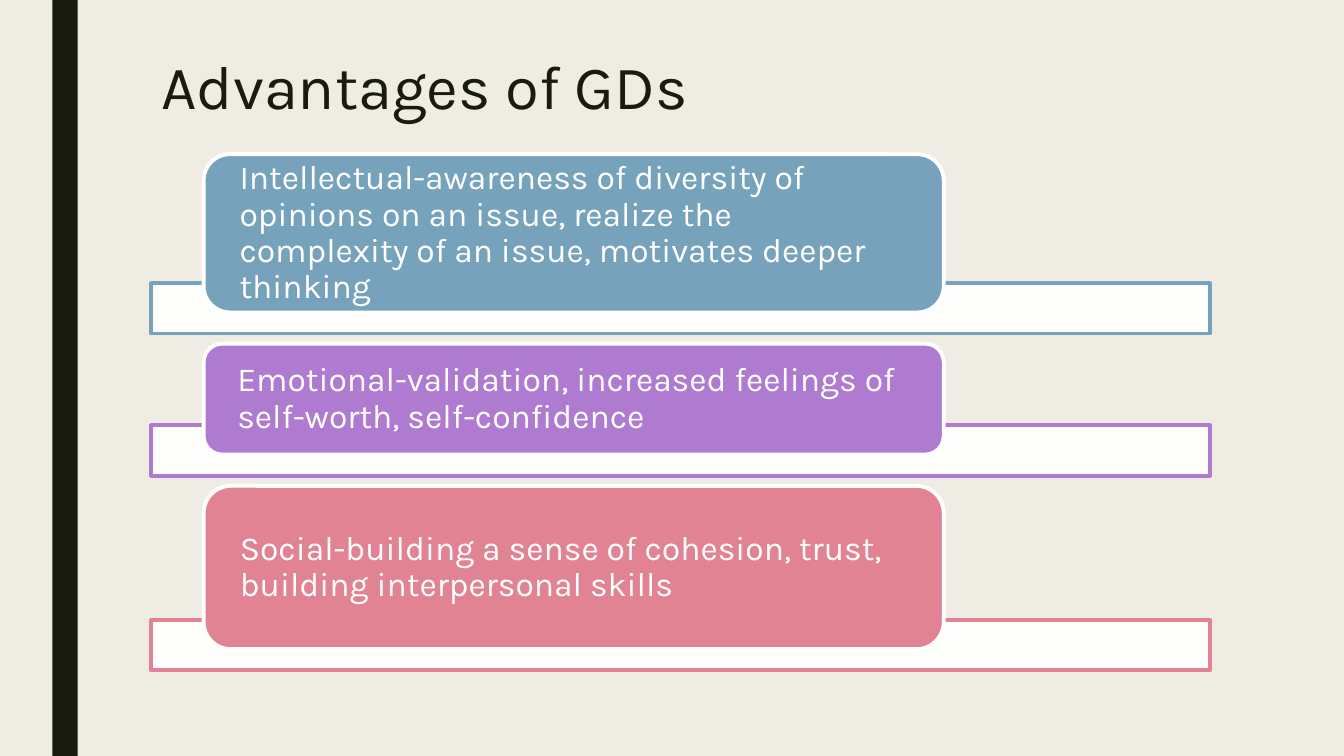
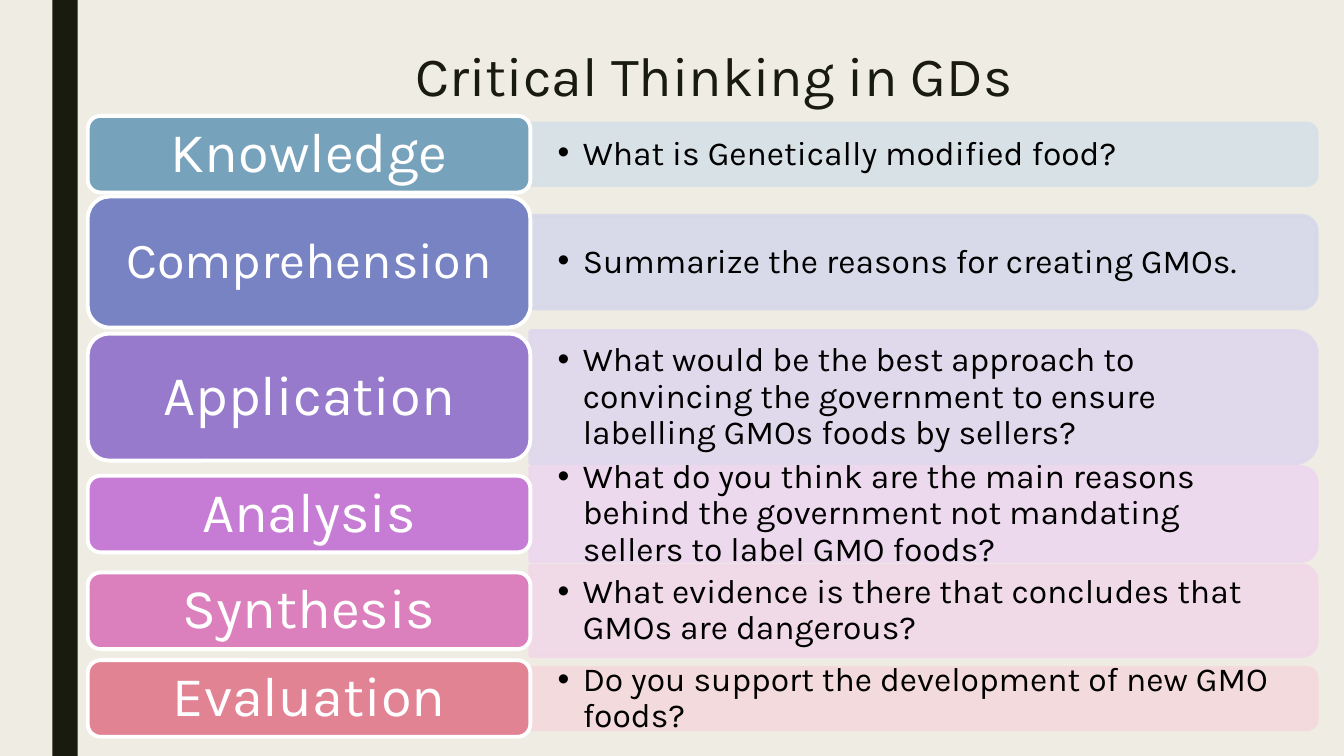
from dataclasses import dataclass

from lxml import etree
from pptx import Presentation
from pptx.dml.color import RGBColor
from pptx.enum import shapes, text
from pptx.oxml import ns
from pptx.util import Inches, Pt


# Shared theme
@dataclass(frozen=True)
class Theme:
    font: str = "Karla"
    paper: str = "EFEDE3"
    ink: str = "191B0E"
    white: str = "FFFFFF"
    black: str = "000000"
    body_size: float = 24
    outline: float = 2.75
    line_spacing: float = 0.9
    opacity: int = 90


THEME = Theme()


@dataclass(frozen=True)
class Box:
    left: float
    top: float
    width: float
    height: float

    def lengths(self) -> tuple:
        return tuple(Inches(v) for v in (self.left, self.top, self.width, self.height))


@dataclass(frozen=True)
class Advantage:
    wording: str
    color: str
    height: float


@dataclass(frozen=True)
class Level:
    name: str
    question: str
    color: str
    tint: str
    middle: float
    label_height: float
    panel_height: float
    size: float = 40


ADVANTAGES = [
    Advantage("Intellectual-awareness of diversity of opinions on an issue, realize the "
              "complexity of an issue, motivates deeper thinking", "77A2BB", 1.57),
    Advantage("Emotional-validation, increased feelings of self-worth, self-confidence",
              "AE7BD0", 1.1),
    Advantage("Social-building a sense of cohesion, trust, building interpersonal skills",
              "E28394", 1.62),
]

LEVELS = [
    Level("Knowledge", "What is Genetically modified food?",
          "77A2BB", "D6E0E7", 1.53, 0.76, 0.61),
    Level("Comprehension", "Summarize the reasons for creating GMOs.",
          "7883C4", "D6D8EA", 2.6, 1.3, 0.92, 36),
    Level("Application", "What would be the best approach to convincing the government "
          "to ensure labelling GMOs foods by sellers?",
          "977ACC", "DFD7ED", 3.94, 1.26, 1.31),
    Level("Analysis", "What do you think are the main reasons behind the government "
          "not mandating sellers to label GMO foods?",
          "C67CD4", "EDD7EF", 5.1, 0.76, 0.93),
    Level("Synthesis", "What evidence is there that concludes that GMOs are dangerous?",
          "DB7FBD", "F2D8E8", 6.06, 0.76, 0.9),
    Level("Evaluation", "Do you support the development of new GMO foods?",
          "E28394", "F4D9DC", 6.93, 0.76, 0.61),
]


# Shared drawing functions
def rgb(color: str) -> RGBColor:
    return RGBColor.from_string(color)


def make_translucent(shape) -> None:
    """Apply the theme opacity to every colour the shape has so far."""
    for color in shape._element.spPr.iter(ns.qn("a:srgbClr")):
        etree.SubElement(color, ns.qn("a:alpha"), val=str(THEME.opacity * 1000))


def add_block(slide, kind, box: Box, fill: str):
    block = slide.shapes.add_shape(kind, *box.lengths())
    block.shadow.inherit = False
    block.fill.solid()
    block.fill.fore_color.rgb = rgb(fill)
    block.line.fill.background()
    return block


def add_outline(block, color: str) -> None:
    block.line.color.rgb = rgb(color)
    block.line.width = Pt(THEME.outline)


def write(shape, wording: str, size: float, color: str, inset_x: float = 0.1,
          inset_y: float = 0.05, align=text.PP_ALIGN.LEFT, bullet: bool = False) -> None:
    frame = shape.text_frame
    frame.word_wrap = True
    frame.auto_size = text.MSO_AUTO_SIZE.NONE
    frame.vertical_anchor = text.MSO_ANCHOR.MIDDLE
    frame.margin_left = frame.margin_right = Inches(inset_x)
    frame.margin_top = frame.margin_bottom = Inches(inset_y)
    frame.text = wording
    paragraph = frame.paragraphs[0]
    paragraph.alignment = align
    paragraph.line_spacing = THEME.line_spacing
    if bullet:
        properties = paragraph._p.get_or_add_pPr()
        properties.set("marL", str(Inches(0.25)))
        properties.set("indent", str(-Inches(0.25)))
        etree.SubElement(properties, ns.qn("a:buFont"), typeface="Arial")
        etree.SubElement(properties, ns.qn("a:buChar"), char="•")
    paragraph.font.name = THEME.font
    paragraph.font.size = Pt(size)
    paragraph.font.color.rgb = rgb(color)


def add_titled_slide(prs, title: str, box: Box, size: float):
    slide = prs.slides.add_slide(prs.slide_layouts[5])
    heading = slide.shapes.title
    heading.left, heading.top, heading.width, heading.height = box.lengths()
    write(heading, title, size, THEME.ink)
    add_block(slide, shapes.MSO_SHAPE.RECTANGLE, Box(0.52, 0, 0.25, 7.5), THEME.ink)
    return slide


def add_card(slide, box: Box, fill: str):
    card = add_block(slide, shapes.MSO_SHAPE.ROUNDED_RECTANGLE, box, fill)
    add_outline(card, THEME.white)
    return card


# Slide 1: each card overlaps the bar beneath it
def build_advantages(prs) -> None:
    slide = add_titled_slide(prs, "Advantages of GDs", Box(1.5, 0.47, 10.5, 0.83), 44)
    bar_height, overlap, gap = 0.5, 0.29, 0.1
    top = 1.53
    for advantage in ADVANTAGES:
        bar_top = top + advantage.height - overlap
        bar = add_block(slide, shapes.MSO_SHAPE.RECTANGLE,
                        Box(1.5, bar_top, 10.5, bar_height), THEME.white)
        make_translucent(bar)
        add_outline(bar, advantage.color)
        card = add_card(slide, Box(2.02, top, 7.34, advantage.height), advantage.color)
        write(card, advantage.wording, THEME.body_size, THEME.white, 0.28, 0)
        top = bar_top + bar_height + gap


# Slide 2: a label and its question panel share a middle line
def add_level(slide, level: Level) -> None:
    label_left, label_width, panel_width = 0.87, 4.39, 7.8
    panel_left = label_left + label_width
    panel_top = level.middle - level.panel_height / 2

    # The panel is turned so that its rounded corners face right
    turned = Box(panel_left + (panel_width - level.panel_height) / 2,
                 level.middle - panel_width / 2, level.panel_height, panel_width)
    panel = add_block(slide, shapes.MSO_SHAPE.ROUND_2_SAME_RECTANGLE, turned, level.tint)
    panel.rotation = 90
    add_outline(panel, level.tint)
    make_translucent(panel)

    question = slide.shapes.add_textbox(
        *Box(panel_left, panel_top, panel_width - 0.05, level.panel_height).lengths())
    write(question, level.question, THEME.body_size, THEME.black, 0.27, 0.14, bullet=True)

    label = add_card(slide, Box(label_left, level.middle - level.label_height / 2,
                                label_width, level.label_height), level.color)
    write(label, level.name, level.size, THEME.white, 0.15, 0.08, text.PP_ALIGN.CENTER)


def build_critical_thinking(prs) -> None:
    slide = add_titled_slide(prs, "Critical Thinking in GDs",
                             Box(4.02, 0.41, 7.98, 0.74), 39.6)
    for level in LEVELS:
        add_level(slide, level)


def main() -> None:
    prs = Presentation()
    prs.slide_width, prs.slide_height = Inches(13.33), Inches(7.5)
    backdrop = prs.slide_master.background.fill
    backdrop.solid()
    backdrop.fore_color.rgb = rgb(THEME.paper)
    build_advantages(prs)
    build_critical_thinking(prs)
    prs.save("out.pptx")


if __name__ == "__main__":
    main()
